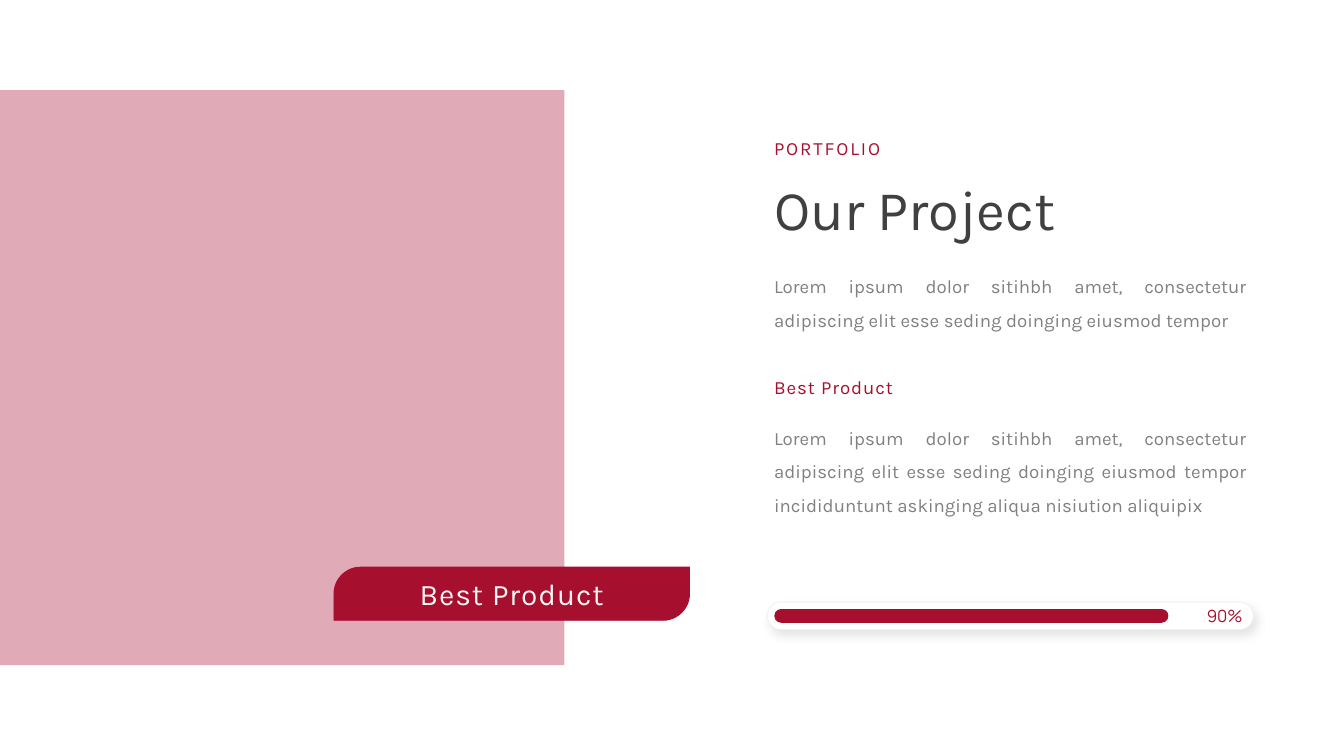
from lxml.etree import SubElement as Sub
from pptx import Presentation
from pptx.dml.color import RGBColor as RGB
from pptx.enum.shapes import MSO_SHAPE as Kind
from pptx.enum.text import MSO_ANCHOR as Anchor, MSO_AUTO_SIZE as Auto, PP_ALIGN as Align
from pptx.oxml.ns import qn
from pptx.util import Pt

PX = 9144
HUES = {"red": "A70F2E", "dark": "404040", "gray": "808080",
        "pale": "F5F5F5", "edge": "F2F2F2", "white": "FFFFFF"}

deck = Presentation()
deck.slide_width, deck.slide_height = 2000 * PX, 1125 * PX
slide = deck.slides.add_slide(deck.slide_layouts[6])


def draw(kind, box, fill, line=None, curves=()):
    shape = slide.shapes.add_shape(kind, *[n * PX for n in box])
    shape.shadow.inherit = False
    shape.fill.solid()
    shape.fill.fore_color.rgb = RGB.from_string(HUES[fill])
    if line:
        shape.line.color.rgb = RGB.from_string(HUES[line])
        shape.line.width = Pt(1)
    else:
        shape.line.fill.background()
    for i, curve in enumerate(curves):
        shape.adjustments[i] = curve
    return shape


def write(shape, text, size, hue, face="Karla", gap=0, **form):
    shape.text_frame.word_wrap = True
    para = shape.text_frame.paragraphs[0]
    for key, val in form.items():
        setattr(para, key, val)
    run = para.add_run()
    run.text = text
    for key, val in {"size": Pt(size), "name": face}.items():
        setattr(run.font, key, val)
    run.font.color.rgb = RGB.from_string(HUES[hue])
    if gap:
        run.font._element.set("spc", str(gap * 100))


photo = draw(Kind.RECTANGLE, (0, 134, 840, 856), "red")
tint = photo.fill._xPr.find(qn("a:solidFill"))[0]
Sub(tint, qn("a:alpha"), val="35000")
draw(Kind.ROUND_2_DIAG_RECTANGLE, (497, 844, 529, 79), "red", "red", (0.5, 0))

lorem = "Lorem ipsum dolor sitihbh amet, consectetur adipiscing elit esse seding doinging eiusmod tempor"
body = {"alignment": Align.JUSTIFY, "line_spacing": 1.5}
texts = [
    ((1142, 254, 723, 111), "Our Project", 60, "dark", {}),
    ((1142, 199, 723, 44), "PORTFOLIO", 20, "red", {"gap": 2}),
    ((1142, 555, 723, 44), "Best Product", 20, "red", {"gap": 1}),
    ((1142, 613, 723, 157), lorem + " incididuntunt askinging aliqua nisiution aliquipix", 20, "gray", body),
    ((1142, 388, 723, 106), lorem, 20, "gray", body),
    ((497, 852, 529, 64), "Best Product", 32, "pale", {"gap": 1, "alignment": Align.CENTER}),
]
for box, text, size, hue, form in texts:
    label = slide.shapes.add_textbox(*[n * PX for n in box])
    write(label, text, size, hue, **form)
    label.text_frame.auto_size = Auto.SHAPE_TO_FIT_TEXT

track = draw(Kind.ROUNDED_RECTANGLE, (1142, 896, 723, 41), "white", "edge", (0.5,))
track.text_frame.vertical_anchor = Anchor.MIDDLE
write(track, "90%", 18, "red", "Manrope", alignment=Align.RIGHT)
glow = Sub(track._element.spPr.find(qn("a:effectLst")), qn("a:outerShdw"),
           blurRad=str(Pt(11)), dist=str(Pt(7)), dir="3600000", algn="tl", rotWithShape="0")
shade = Sub(glow, qn("a:srgbClr"), val="000000")
Sub(shade, qn("a:alpha"), val="11000")
draw(Kind.ROUNDED_RECTANGLE, (1153, 907, 585, 19), "red", "red", (0.5,))

deck.save("out.pptx")
